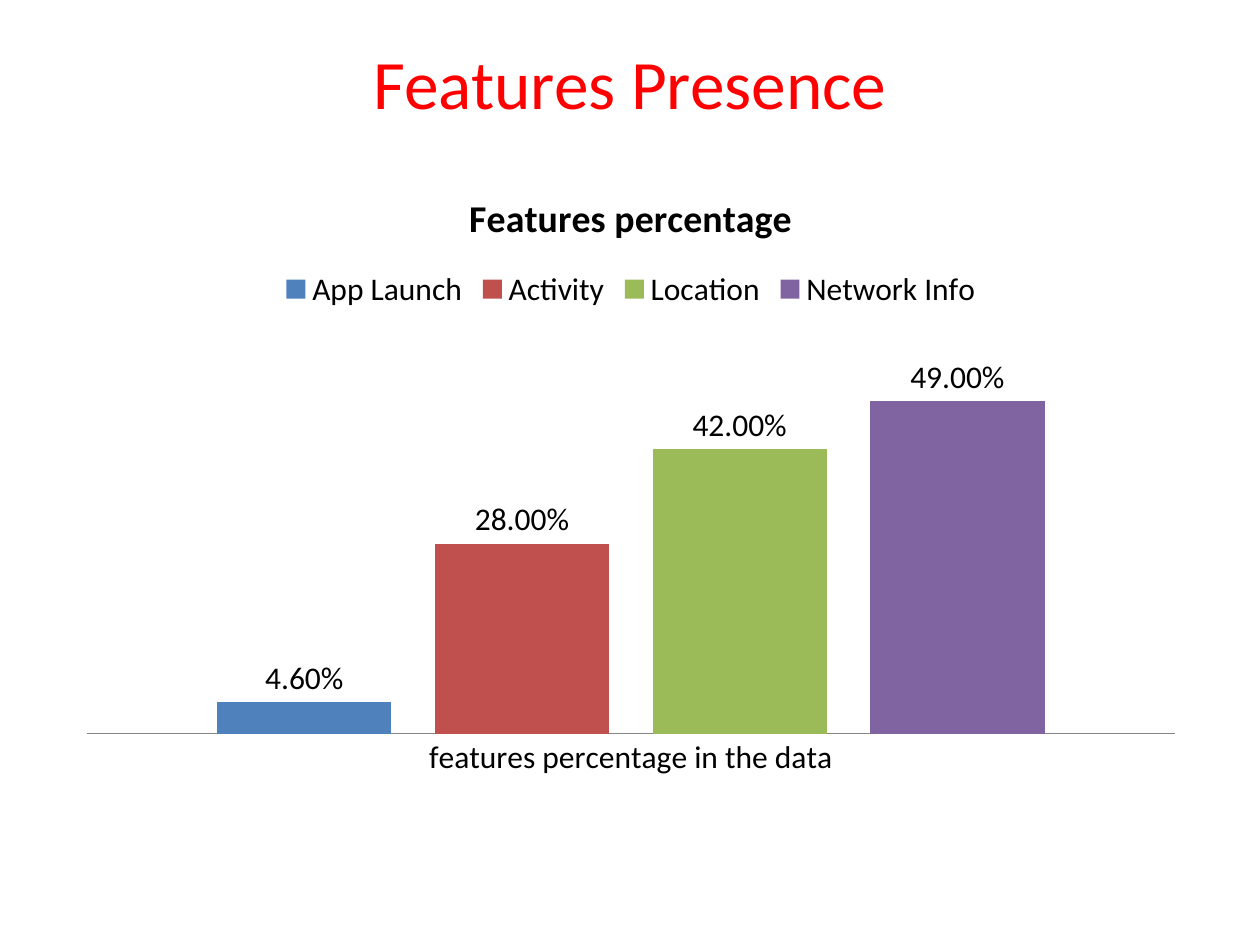
from dataclasses import dataclass

from pptx import Presentation
from pptx.chart.data import CategoryChartData
from pptx.dml.color import RGBColor
from pptx.enum.chart import (XL_CHART_TYPE, XL_LABEL_POSITION,
                             XL_LEGEND_POSITION, XL_TICK_MARK)
from pptx.enum.text import MSO_ANCHOR, PP_ALIGN
from pptx.util import Pt

COLUMN = XL_CHART_TYPE.COLUMN_CLUSTERED
ABOVE = XL_LABEL_POSITION.OUTSIDE_END
TOP = XL_LEGEND_POSITION.TOP
NO_TICK = XL_TICK_MARK.NONE
MIDDLE = MSO_ANCHOR.MIDDLE
CENTER = PP_ALIGN.CENTER

RED = RGBColor(0xFF, 0x00, 0x00)
BLACK = RGBColor(0x00, 0x00, 0x00)
GRAY = RGBColor(0x86, 0x86, 0x86)
BLUE = RGBColor(0x4F, 0x81, 0xBD)
BRICK = RGBColor(0xC0, 0x50, 0x4D)
GREEN = RGBColor(0x9B, 0xBB, 0x59)
PURPLE = RGBColor(0x80, 0x64, 0xA2)

FACE = "Calibri"
PERCENT = "0.00%"


@dataclass(frozen=True)
class Feature:
    name: str
    share: float
    color: RGBColor


FEATURES = [
    Feature("App Launch", 0.046, BLUE),
    Feature("Activity", 0.28, BRICK),
    Feature("Location", 0.42, GREEN),
    Feature("Network Info", 0.49, PURPLE),
]


def style(font, size: float, color: RGBColor, bold: bool = False) -> None:
    font.name = FACE
    font.size = Pt(size)
    font.bold = bold
    font.color.rgb = color


def write(frame, text: str, *, size: float, color: RGBColor = BLACK,
          bold: bool = False) -> None:
    line = frame.paragraphs[0]
    line.alignment = CENTER
    run = line.add_run()
    run.text = text
    style(run.font, size, color, bold)


def paint(series, color: RGBColor) -> None:
    series.invert_if_negative = False
    series.format.fill.solid()
    series.format.fill.fore_color.rgb = color
    labels = series.data_labels
    labels.show_value = True
    labels.number_format = PERCENT
    labels.number_format_is_linked = False
    labels.position = ABOVE
    style(labels.font, 18, BLACK)


def add_bars(slide, features: list[Feature]) -> None:
    data = CategoryChartData(number_format=PERCENT)
    data.categories = ["features percentage in the data"]
    for item in features:
        data.add_series(item.name, [item.share])
    chart = slide.shapes.add_chart(
        COLUMN, Pt(36.5), Pt(94.5), Pt(648), Pt(356.5), data).chart
    style(chart.font, 18, BLACK)

    # Chart title and legend
    chart.has_title = True
    write(chart.chart_title.text_frame, "Features percentage",
          size=21.6, bold=True)
    chart.chart_title.include_in_layout = False
    chart.has_legend = True
    chart.legend.position = TOP
    chart.legend.include_in_layout = False

    # Axes
    base = chart.category_axis
    base.major_tick_mark = NO_TICK
    base.minor_tick_mark = NO_TICK
    base.format.line.color.rgb = GRAY
    scale = chart.value_axis
    scale.visible = False
    scale.has_major_gridlines = False

    # Bars
    plot = chart.plots[0]
    plot.vary_by_categories = False
    plot.gap_width = 150
    plot.overlap = -25
    for series, item in zip(plot.series, features):
        paint(series, item.color)


def main() -> None:
    deck = Presentation()
    deck.slide_width, deck.slide_height = Pt(720), Pt(540)
    slide = deck.slides.add_slide(deck.slide_layouts[6])

    # Slide title
    frame = slide.shapes.add_textbox(
        Pt(36), Pt(21.6), Pt(648), Pt(49.7)).text_frame
    frame.word_wrap = True
    frame.vertical_anchor = MIDDLE
    write(frame, "Features Presence", size=39.6, color=RED)

    add_bars(slide, FEATURES)
    deck.save("out.pptx")


if __name__ == "__main__":
    main()
